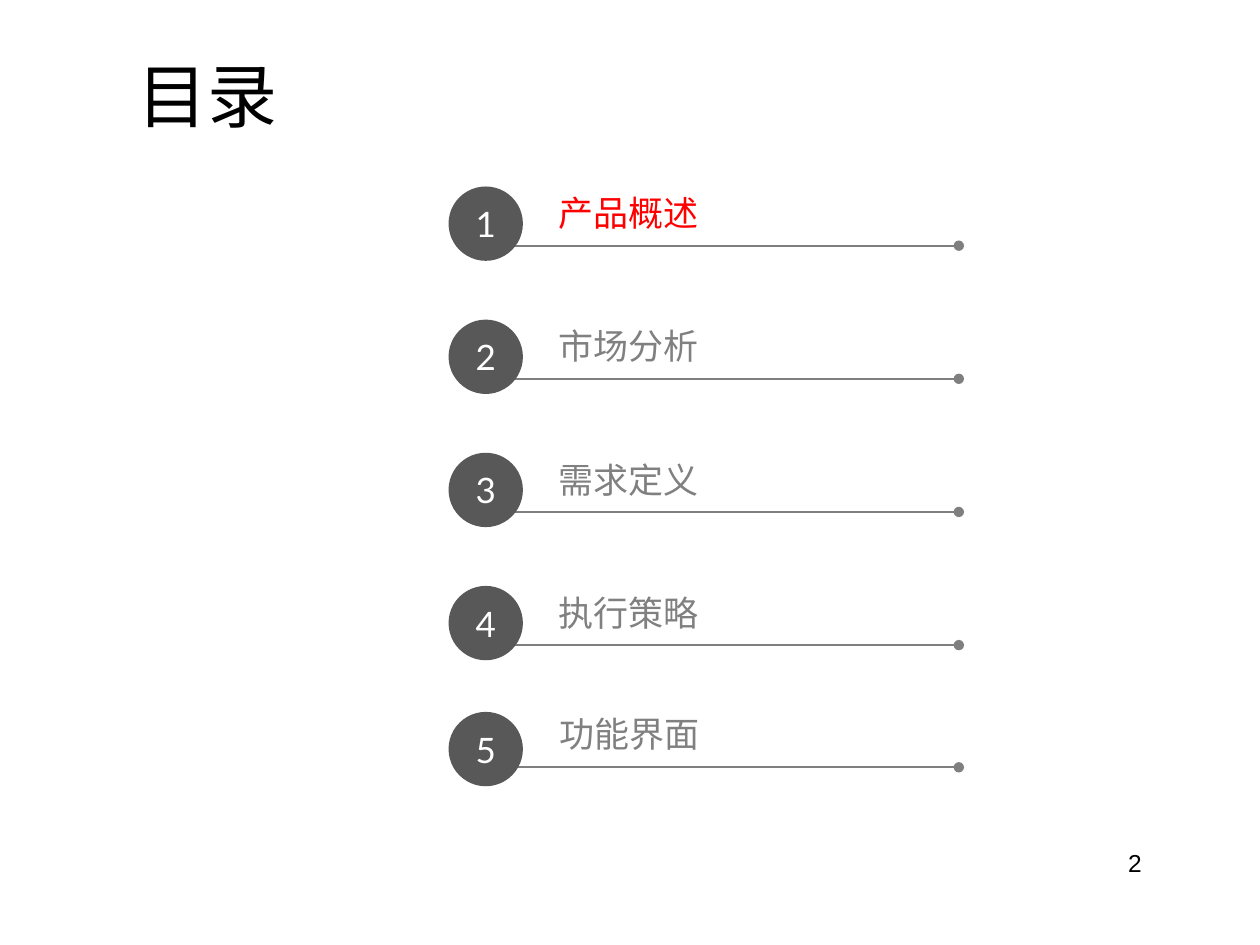
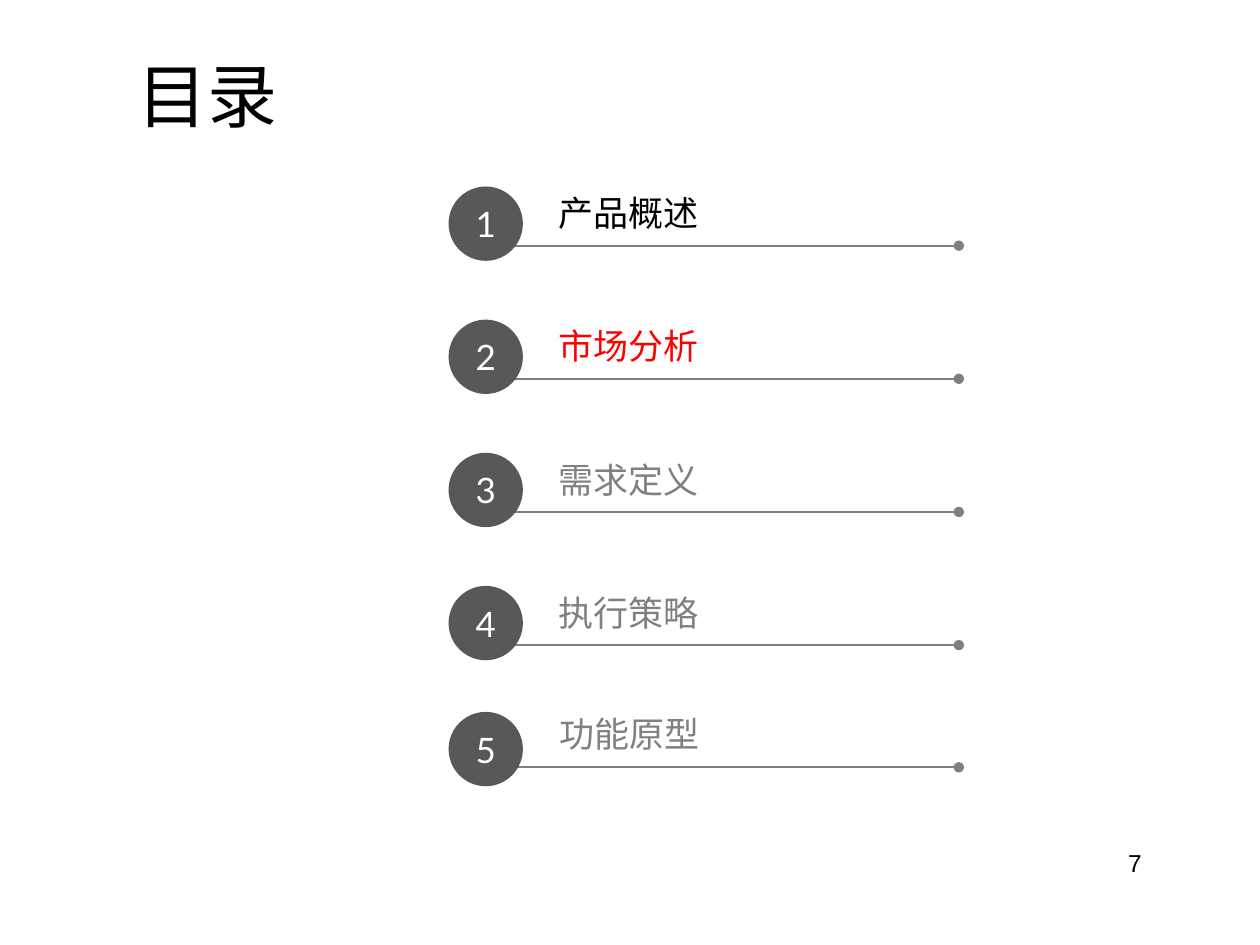
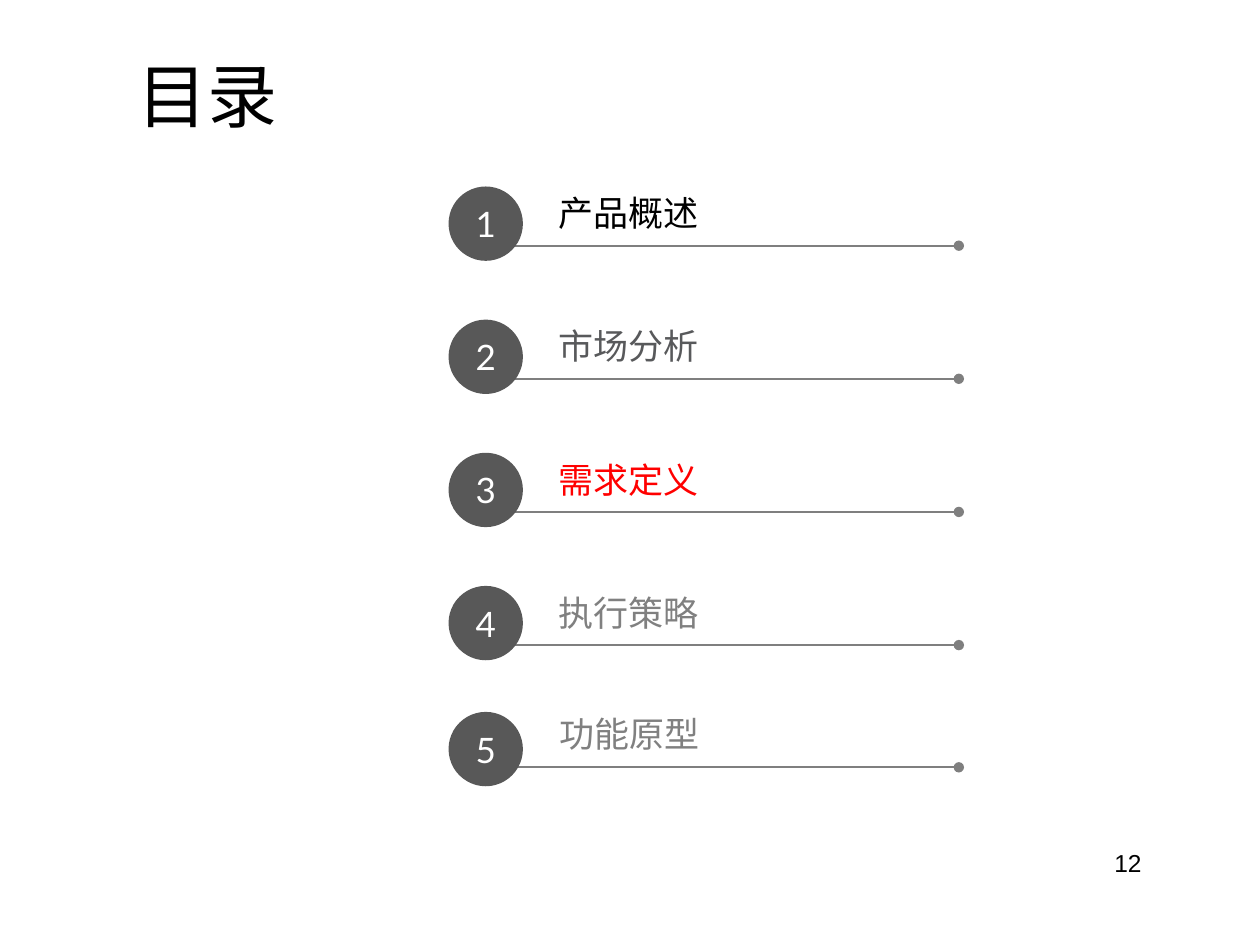
from dataclasses import dataclass

from lxml.etree import SubElement
from pptx import Presentation
from pptx.dml.color import RGBColor
from pptx.enum.shapes import MSO_CONNECTOR as Connector, MSO_SHAPE as Shape
from pptx.enum.text import MSO_ANCHOR as Anchor, MSO_AUTO_SIZE as AutoSize, PP_ALIGN as Align
from pptx.oxml.ns import qn
from pptx.util import Inches, Pt

# Colours and fonts
BLACK = RGBColor(0x00, 0x00, 0x00)
WHITE = RGBColor(0xFF, 0xFF, 0xFF)
RED = RGBColor(0xFF, 0x00, 0x00)
DARK = RGBColor(0x58, 0x59, 0x5B)
GREY = RGBColor(0x80, 0x80, 0x80)
RULE_GREY = RGBColor(0x7F, 0x7F, 0x7F)
BADGE_GREY = RGBColor(0x58, 0x58, 0x58)
BODY_FONT, CHINESE_FONT, NUMBER_FONT = "Arial", "Noto Sans CJK SC", "Lato"

# Agenda grid, in inches
PITCH = 3.17 / 3
BADGE_LEFT, BADGE_SIZE = 3.56, 0.59
RULE_START, RULE_END = 4.06, 7.61


@dataclass
class Row:
    badge_top: float
    label_top: float
    rule_y: float
    label_left: float = 4.36
    label_width: float = 2.77
    label_height: float = 0.43


ROWS = [Row(1.48 + i * PITCH, 1.52 + i * PITCH, 1.95 + i * PITCH) for i in range(4)]
ROWS[1].label_width = 3.72
ROWS.append(Row(5.65, 5.65, 6.09, label_left=4.37, label_height=0.41))

# Page number, last topic and label colours of each slide
TOPICS = ["产品概述", "市场分析", "需求定义", "执行策略"]
AGENDAS = [
    (2, "功能界面", [RED, GREY, GREY, GREY, GREY]),
    (7, "功能原型", [BLACK, RED, GREY, GREY, GREY]),
    (12, "功能原型", [BLACK, DARK, RED, GREY, GREY]),
]


def write_text(shape, text, *, size, font=BODY_FONT, color=BLACK, align=Align.LEFT,
               anchor=Anchor.TOP, insets=(0.07, 0.04), spacing=1.0, fit=AutoSize.NONE):
    frame = shape.text_frame
    frame.word_wrap = True
    frame.auto_size = fit
    frame.vertical_anchor = anchor
    frame.margin_left = frame.margin_right = Inches(insets[0])
    frame.margin_top = frame.margin_bottom = Inches(insets[1])
    paragraph = frame.paragraphs[0]
    paragraph.alignment = align
    paragraph.line_spacing = spacing
    run = paragraph.add_run()
    run.text = text
    run.font.size = Pt(size)
    run.font.name = font
    run.font.color.rgb = color
    SubElement(run.font._element, qn("a:ea"), typeface=CHINESE_FONT)


class AgendaDeck:
    def __init__(self):
        self.presentation = Presentation()
        self.presentation.slide_width = Inches(10)
        self.presentation.slide_height = Inches(7.5)
        self.slide = None

    def add_slide(self, title):
        layout = self.presentation.slide_layouts[5]
        self.slide = self.presentation.slides.add_slide(layout)
        shape = self.slide.shapes.title
        shape.left, shape.top = Inches(0.35), Inches(0.44)
        shape.width, shape.height = Inches(2.6), Inches(0.77)
        write_text(shape, title, size=40, align=Align.CENTER, insets=(0.1, 0.05),
                   spacing=0.9, fit=AutoSize.SHAPE_TO_FIT_TEXT)

    def text(self, left, top, width, height, text, **style):
        box = self.slide.shapes.add_textbox(
            Inches(left), Inches(top), Inches(width), Inches(height))
        write_text(box, text, **style)

    def page_number(self, number):
        self.text(6.83, 6.66, 2.33, 0.52, str(number), size=14,
                  align=Align.RIGHT, insets=(0.1, 0.07))

    def rule(self, y):
        line = self.slide.shapes.add_connector(
            Connector.STRAIGHT, Inches(RULE_START), Inches(y), Inches(RULE_END), Inches(y))
        line.line.color.rgb = RULE_GREY
        line.line.width = Pt(1)
        SubElement(line.line._get_or_add_ln(), qn("a:tailEnd"), type="oval")
        SubElement(line._element.spPr, qn("a:effectLst"))

    def badge(self, top, number):
        circle = self.slide.shapes.add_shape(
            Shape.OVAL, Inches(BADGE_LEFT), Inches(top), Inches(BADGE_SIZE), Inches(BADGE_SIZE))
        circle.shadow.inherit = False
        circle.fill.solid()
        circle.fill.fore_color.rgb = BADGE_GREY
        circle.line.fill.background()
        write_text(circle, str(number), size=20, font=NUMBER_FONT, color=WHITE,
                   align=Align.CENTER, anchor=Anchor.MIDDLE)

    def agenda_row(self, row, number, topic, color):
        self.text(row.label_left, row.label_top, row.label_width, row.label_height, topic,
                  size=20, font=CHINESE_FONT, color=color, spacing=0.9,
                  fit=AutoSize.SHAPE_TO_FIT_TEXT)
        self.rule(row.rule_y)
        self.badge(row.badge_top, number)


def main():
    deck = AgendaDeck()
    for page, last_topic, colors in AGENDAS:
        deck.add_slide("目录")
        deck.page_number(page)
        topics = TOPICS + [last_topic]
        for number, (row, topic, color) in enumerate(zip(ROWS, topics, colors), start=1):
            deck.agenda_row(row, number, topic, color)
    deck.presentation.save("out.pptx")


if __name__ == "__main__":
    main()
